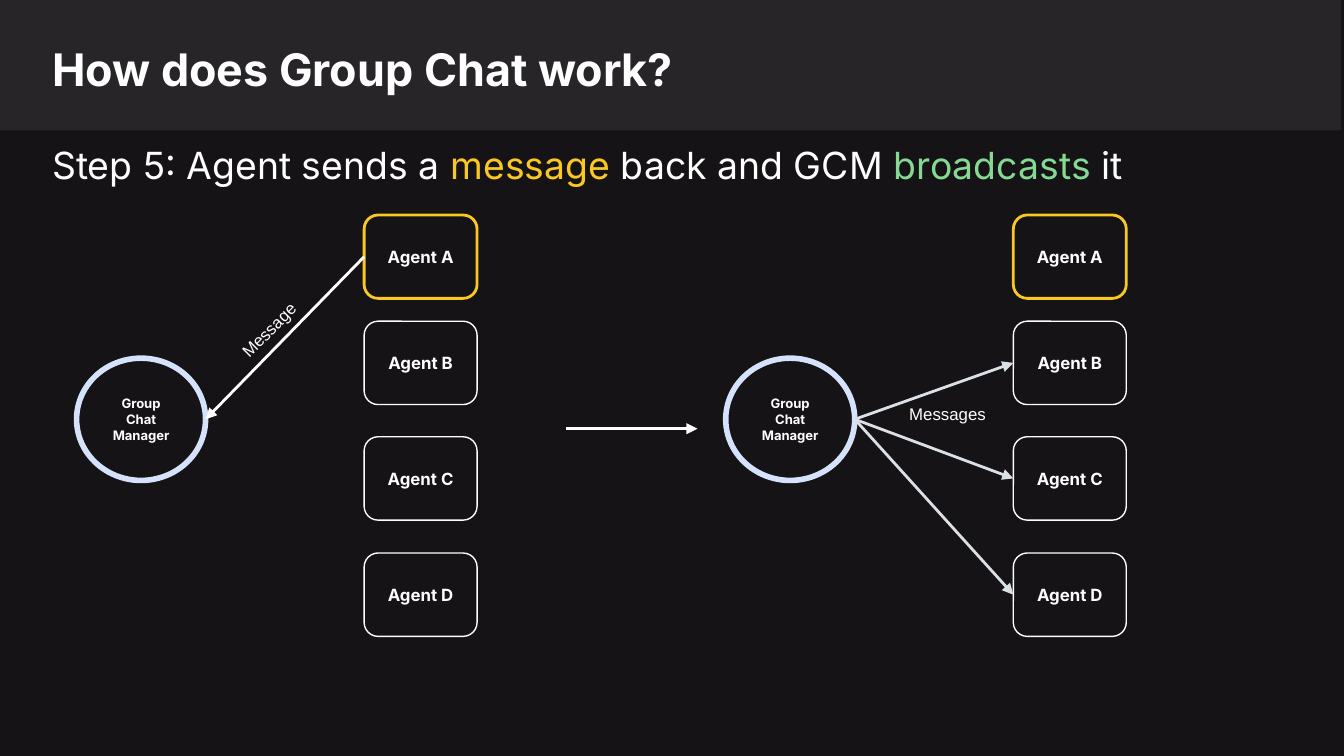
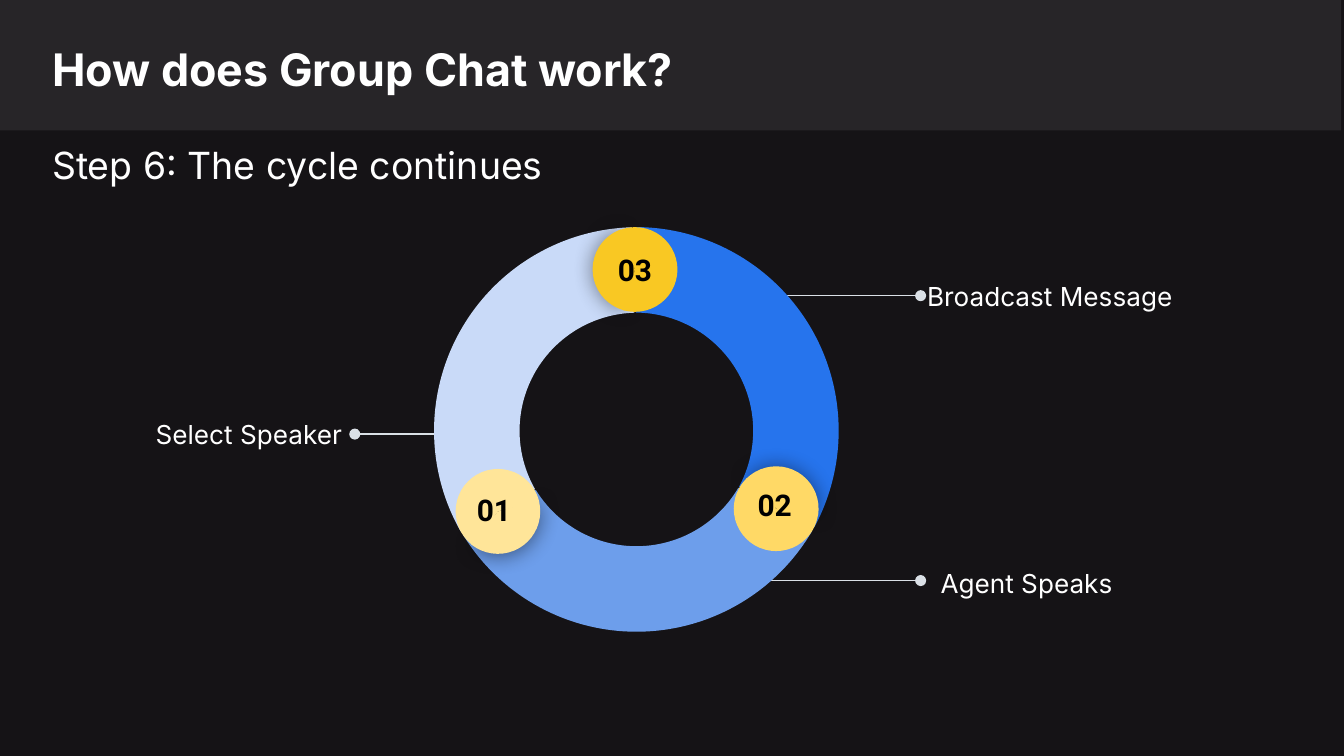
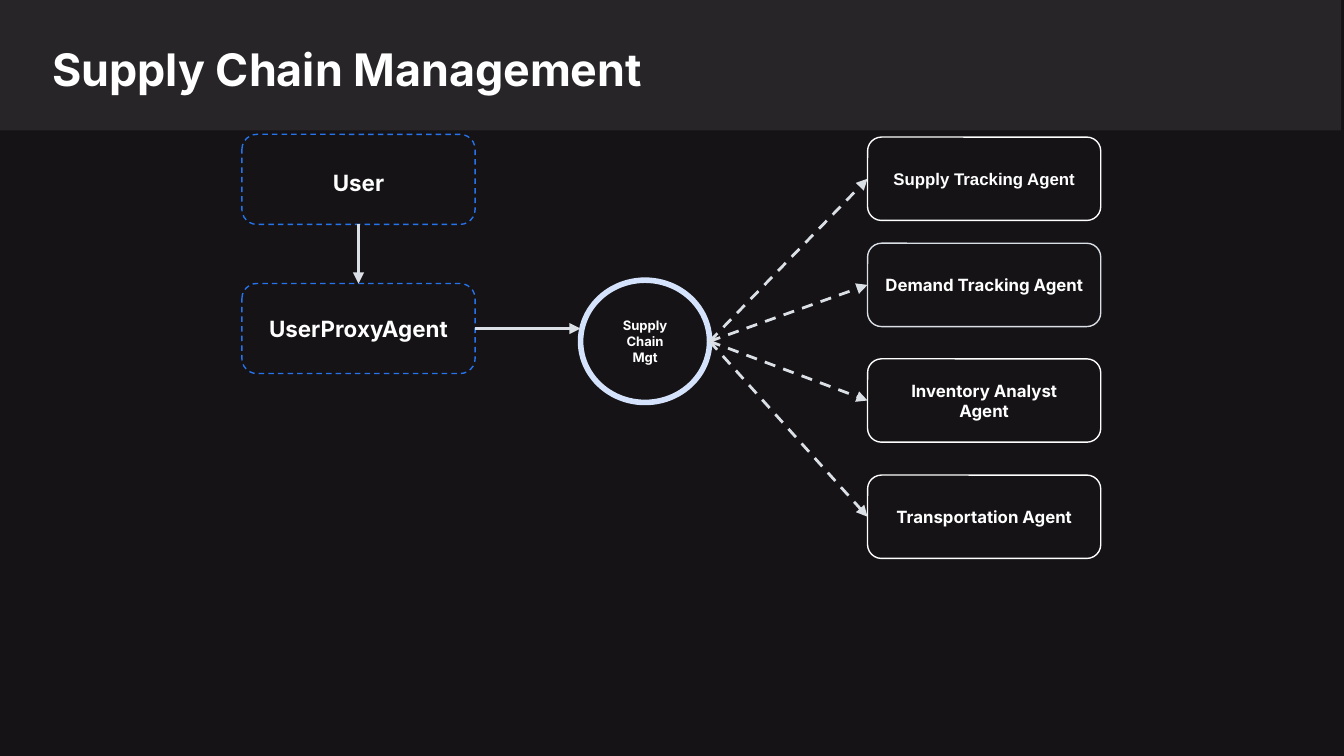
import dataclasses
import typing

import pptx
import pptx.dml.color
import pptx.enum.dml
import pptx.enum.shapes
import pptx.enum.text
import pptx.oxml
import pptx.oxml.ns
import pptx.oxml.xmlchemy
import pptx.presentation
import pptx.shapes.autoshape
import pptx.slide
import pptx.util

RGB = pptx.dml.color.RGBColor
KIND = pptx.enum.shapes.MSO_SHAPE
ALIGN = pptx.enum.text.PP_ALIGN
ANCHOR = pptx.enum.text.MSO_ANCHOR
DASH = pptx.enum.dml.MSO_LINE.DASH
Shape = pptx.shapes.autoshape.Shape
Slide = pptx.slide.Slide

# Scale: 200 px to the inch
SCALE = 4572
WIDE, HIGH = 2000, 1125
PAD = 20

# Colours
INK = RGB(0x15, 0x13, 0x16)
BAND = RGB(0x27, 0x25, 0x28)
WHITE = RGB(0xFF, 0xFF, 0xFF)
BLACK = RGB(0x00, 0x00, 0x00)
GREY = RGB(0xDA, 0xE0, 0xE6)
PALE = RGB(0xD4, 0xE3, 0xFB)
GOLD = RGB(0xF9, 0xC8, 0x23)
AMBER = RGB(0xFF, 0xD9, 0x66)
CREAM = RGB(0xFF, 0xE5, 0x99)
GREEN = RGB(0x85, 0xD9, 0x92)
BLUE = RGB(0x26, 0x74, 0xED)
SKY = RGB(0x6D, 0x9E, 0xEB)
MIST = RGB(0xC9, 0xDA, 0xF8)

# Team layout, measured from the top of the first agent
ROWS = (0, 158, 330, 503)
AGENT_H = 124
HUB_DROP, HUB_W, HUB_H = 213, 192, 182


class Box(typing.NamedTuple):
    left: int
    top: int
    width: int
    height: int


class Run(typing.NamedTuple):
    text: str
    color: RGB = WHITE


class Point(typing.NamedTuple):
    x: int
    y: int


class Side(typing.NamedTuple):
    shape: Shape
    site: int


End = typing.Union[Point, Side]


@dataclasses.dataclass(frozen=True)
class Font:
    size: int
    bold: bool = False
    name: str = "Inter"


@dataclasses.dataclass(frozen=True)
class Agent:
    text: str
    line: RGB = WHITE
    weight: float = 0.75
    face: str = "Inter"
    pad: int = PAD


@dataclasses.dataclass(frozen=True)
class Arc:
    left: int
    top: int
    turn: int
    fill: RGB


@dataclasses.dataclass(frozen=True)
class Badge:
    text: str
    left: int
    top: int
    turn: float
    fill: RGB
    label: Point
    drop: float = 0


@dataclasses.dataclass(frozen=True)
class Note:
    text: str
    box: Box
    start: Point
    stop: Point


TITLE = Font(24, True)
LEAD = Font(20)
SMALL = Font(9, name="Arial")
HUB = Font(7, True)
USER = Font(12, True)
NUMBER = Font(16, True, "Roboto")
NOTE = Font(14)


def px(size: int) -> int:
    return size * SCALE


# Drawing helpers
def write(shape: Shape, runs: typing.Sequence[Run], font: Font,
          align: ALIGN = ALIGN.CENTER, anchor: ANCHOR = ANCHOR.MIDDLE,
          pad: int = PAD) -> None:
    frame = shape.text_frame
    frame.word_wrap = True
    frame.vertical_anchor = anchor
    frame.margin_left = frame.margin_right = px(pad)
    frame.margin_top = frame.margin_bottom = px(PAD)
    para = frame.paragraphs[0]
    para.alignment = align
    for part in runs:
        run = para.add_run()
        run.text = part.text
        run.font.size = pptx.util.Pt(font.size)
        run.font.name = font.name
        run.font.bold = font.bold
        run.font.color.rgb = part.color


def label(slide: Slide, box: Box, runs: typing.Sequence[Run], font: Font,
          align: ALIGN = ALIGN.LEFT) -> Shape:
    shape = slide.shapes.add_textbox(*map(px, box))
    write(shape, runs, font, align, ANCHOR.TOP)
    return shape


def solid(slide: Slide, kind: KIND, box: Box, fill: RGB, turn: float = 0,
          bends: typing.Sequence[float] = ()) -> Shape:
    shape = slide.shapes.add_shape(kind, *map(px, box))
    shape.shadow.inherit = False
    shape.fill.solid()
    shape.fill.fore_color.rgb = fill
    shape.line.fill.background()
    shape.rotation = turn
    for place, value in enumerate(bends):
        shape.adjustments[place] = value
    return shape


def frame(slide: Slide, kind: KIND, box: Box, line: RGB, weight: float) -> Shape:
    shape = slide.shapes.add_shape(kind, *map(px, box))
    shape.shadow.inherit = False
    shape.fill.background()
    shape.line.color.rgb = line
    shape.line.width = pptx.util.Pt(weight)
    return shape


def link(slide: Slide, start: End, stop: End, color: RGB = GREY,
         weight: float = 1.5, tip: str = "triangle", dash: bool = False) -> None:
    ends = [end if isinstance(end, Point) else Point(0, 0) for end in (start, stop)]
    line = slide.shapes.add_connector(
        pptx.enum.shapes.MSO_CONNECTOR.STRAIGHT, *map(px, ends[0] + ends[1]))
    if isinstance(start, Side):
        line.begin_connect(start.shape, start.site)
    if isinstance(stop, Side):
        line.end_connect(stop.shape, stop.site)
    line.line.color.rgb = color
    line.line.width = pptx.util.Pt(weight)
    if dash:
        line.line.dash_style = DASH
    make = pptx.oxml.xmlchemy.OxmlElement
    tail = make("a:tailEnd")
    tail.set("type", tip)
    props = line._element.spPr
    props.find(pptx.oxml.ns.qn("a:ln")).append(tail)
    props.append(make("a:effectLst"))


def shade(shape: Shape, drop: float) -> None:
    space = pptx.oxml.ns.nsdecls("a")
    blur, dist = pptx.util.Pt(11.2), pptx.util.Pt(drop)
    glow = pptx.oxml.parse_xml(
        f'<a:outerShdw {space} blurRad="{blur}" dist="{dist}" dir="5400000" '
        'algn="bl" rotWithShape="0"><a:srgbClr val="000000">'
        '<a:alpha val="43000"/></a:srgbClr></a:outerShdw>')
    shape._element.spPr.find(pptx.oxml.ns.qn("a:effectLst")).append(glow)


# Shared slide parts
def page(deck: pptx.presentation.Presentation, title: str,
         lead: typing.Sequence[Run] = ()) -> Slide:
    slide = deck.slides.add_slide(deck.slide_layouts[6])
    slide.background.fill.solid()
    slide.background.fill.fore_color.rgb = INK
    solid(slide, KIND.RECTANGLE, Box(0, 0, 1996, 194), BAND)
    label(slide, Box(58, 42, 1748, 116), [Run(title)], TITLE)
    if lead:
        label(slide, Box(58, 192, 1880, 116), lead, LEAD)
    return slide


def team(slide: Slide, agents: typing.Sequence[Agent], left: int, top: int,
         width: int, hub: str, hub_x: int) -> tuple[Point, list[Shape]]:
    """Draw the manager and its agents; return its right edge and the agents."""
    hub_y = top + HUB_DROP
    ring = frame(slide, KIND.OVAL, Box(hub_x, hub_y, HUB_W, HUB_H), PALE, 3)
    write(ring, [Run(hub)], HUB, pad=22)
    cards = []
    for agent, row in zip(agents, ROWS):
        box = Box(left, top + row, width, AGENT_H)
        card = frame(slide, KIND.ROUNDED_RECTANGLE, box, agent.line, agent.weight)
        write(card, [Run(agent.text)], Font(9, True, agent.face), pad=agent.pad)
        cards.append(card)
    return Point(hub_x + HUB_W, hub_y + HUB_H // 2), cards


# Slide 1: message and broadcast
def send(deck: pptx.presentation.Presentation) -> None:
    slide = page(deck, "How does Group Chat work?", [
        Run("Step 5: Agent sends a "), Run("message", GOLD),
        Run(" back and GCM "), Run("broadcasts", GREEN), Run(" it")])
    agents = [Agent("Agent A", GOLD, 1.5)]
    agents += [Agent(f"Agent {key}") for key in "BCD"]
    (before, old), (after, new) = [
        team(slide, agents, 542 + shift, 320, 168, "Group Chat Manager", 114 + shift)
        for shift in (0, 966)]
    link(slide, Side(old[0], 1), before, WHITE)
    link(slide, Point(842, 638), Point(1038, 638), WHITE)
    for card in new[1:]:
        link(slide, after, Side(card, 1))
    note = label(slide, Box(316, 460, 170, 64), [Run("Message")], SMALL, ALIGN.CENTER)
    note.rotation = 315
    label(slide, Box(1326, 586, 168, 62), [Run("Messages")], SMALL, ALIGN.CENTER)


# Slide 2: the cycle
def cycle(deck: pptx.presentation.Presentation) -> None:
    slide = page(deck, "How does Group Chat work?", [Run("Step 6: The cycle continues")])
    notes = (
        Note("Select Speaker", Box(212, 602, 326, 80), Point(666, 646), Point(528, 646)),
        Note("Broadcast Message", Box(1360, 398, 446, 80), Point(1090, 440), Point(1370, 440)),
        Note("Agent Speaks", Box(1380, 824, 326, 80), Point(1090, 864), Point(1370, 864)),
    )
    for note in notes:
        link(slide, note.start, note.stop, weight=0.75, tip="oval")
        label(slide, note.box, [Run(note.text)], NOTE)

    arcs = (Arc(642, 338, 60, BLUE), Arc(644, 334, 180, SKY), Arc(646, 338, 300, MIST))
    for arc in arcs:
        solid(slide, KIND.BLOCK_ARC, Box(arc.left, arc.top, 606, 606), arc.fill,
              arc.turn, (126.23, 197.03, 0.21))

    # Each badge is a shaded half under a plain half
    badges = (
        Badge("01", 678, 698, 240.6, CREAM, Point(679, 712), 1.5),
        Badge("03", 882, 338, 0.7, GOLD, Point(889, 354)),
        Badge("02", 1092, 694, 120.7, AMBER, Point(1097, 704)),
    )
    for badge in badges:
        box = Box(badge.left, badge.top, 126, 126)
        half = solid(slide, KIND.PIE, box, badge.fill, badge.turn, (61.9, 149.96))
        shade(half, badge.drop)
        solid(slide, KIND.PIE, box, badge.fill, (int(badge.turn) + 180) % 360,
              (40.28, 171.84))
        label(slide, Box(*badge.label, 112, 58), [Run(badge.text, BLACK)], NUMBER,
              ALIGN.CENTER)


# Slide 3: supply chain team
def supply(deck: pptx.presentation.Presentation) -> None:
    slide = page(deck, "Supply Chain Management")
    agents = (
        Agent("Supply Tracking Agent", face="Arial"),
        Agent("Demand Tracking Agent", GREY, pad=14),
        Agent("Inventory Analyst Agent"),
        Agent("Transportation Agent"),
    )
    hub, cards = team(slide, agents, 1291, 204, 347, "Supply Chain Mgt", 864)
    users = []
    for text, top in (("User", 200), ("UserProxyAgent", 422)):
        card = frame(slide, KIND.ROUNDED_RECTANGLE, Box(360, top, 347, 134), BLUE, 0.75)
        card.line.dash_style = DASH
        write(card, [Run(text)], USER)
        users.append(card)
    users[0].text_frame.margin_top = px(PAD + 10)
    link(slide, Side(users[1], 3), Point(864, 489))
    link(slide, Side(users[0], 2), Side(users[1], 0))
    for card in cards:
        link(slide, hub, Side(card, 1), dash=True)


def main() -> None:
    deck = pptx.Presentation()
    deck.slide_width, deck.slide_height = px(WIDE), px(HIGH)
    send(deck)
    cycle(deck)
    supply(deck)
    deck.save("out.pptx")


if __name__ == "__main__":
    main()
